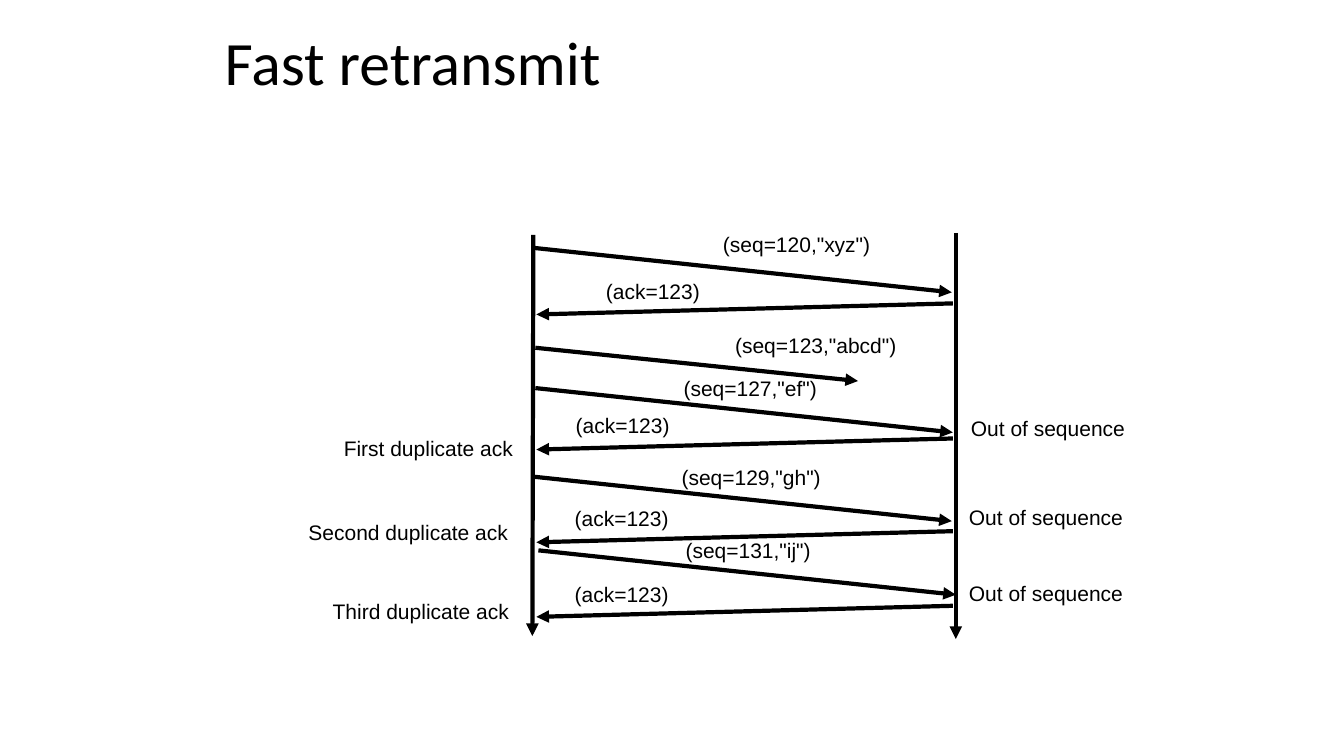
import dataclasses

import lxml.etree
import pptx
import pptx.dml.color
import pptx.enum.shapes
import pptx.enum.text
import pptx.oxml.ns
import pptx.util

EMU_PER_PX = 9144
LABEL_HEIGHT = 22
SEGMENT_RUN, SEGMENT_DROP = 414, 44
ACK_RUN, ACK_DROP = -413, 11

TIMELINES = [(529, 233, -1, 398), (948, 231, 0, 403)]
SEGMENTS = [
    (530, 246, '(seq=120,"xyz")', 717, 233, 148),
    (531, 385, '(seq=127,"ef")', 678, 376, 134),
    (530, 473, '(seq=129,"gh")', 676, 464, 139),
    (534, 546, '(seq=131,"ij")', 680, 537, 126),
]
ACKS = [(301, 601, 280), (435, 571, 413), (527, 570, 505), (601, 570, 580)]
SIDE_NOTES = [
    ("First duplicate ack", 341, 436, 170),
    ("Second duplicate ack", 306, 519, 200),
    ("Third duplicate ack", 330, 597, 177),
    ("Out of sequence", 963, 416, 154),
    ("Out of sequence", 961, 504, 155),
    ("Out of sequence", 961, 579, 155),
]


@dataclasses.dataclass(frozen=True)
class Theme:
    ink: str = "000000"
    background: str = "FFFFFF"
    title_font: str = "Calibri"
    label_font: str = "Arial"
    title_size: int = 44
    label_size: int = 15
    line_width: int = 3
    line_spacing: float = 0.84


def px(length):
    return pptx.util.Emu(length * EMU_PER_PX)


def write_text(frame, text, *, font, size, color, spacing):
    frame.vertical_anchor = pptx.enum.text.MSO_ANCHOR.MIDDLE
    paragraph = frame.paragraphs[0]
    paragraph.line_spacing = spacing
    run = paragraph.add_run()
    run.text = text
    run.font.name = font
    run.font.size = pptx.util.Pt(size)
    run.font.color.rgb = pptx.dml.color.RGBColor.from_string(color)


class SequenceDiagram:
    """Draw titles, labels and arrows on one slide in a shared theme."""

    def __init__(self, slide, theme):
        self.slide = slide
        self.theme = theme
        fill = slide.background.fill
        fill.solid()
        fill.fore_color.rgb = pptx.dml.color.RGBColor.from_string(theme.background)

    def text_box(self, text, left, top, width, height, font, size):
        shape = self.slide.shapes.add_textbox(px(left), px(top), px(width), px(height))
        write_text(shape.text_frame, text, font=font, size=size,
                   color=self.theme.ink, spacing=self.theme.line_spacing)
        return shape.text_frame

    def title(self, text, left, top, width, height):
        frame = self.text_box(text, left, top, width, height,
                              self.theme.title_font, self.theme.title_size)
        frame.word_wrap = True

    def label(self, text, left, top, width):
        frame = self.text_box(text, left, top, width, LABEL_HEIGHT,
                              self.theme.label_font, self.theme.label_size)
        frame.margin_left = frame.margin_right = 0
        frame.margin_top = frame.margin_bottom = 0
        frame.word_wrap = False
        frame.auto_size = pptx.enum.text.MSO_AUTO_SIZE.SHAPE_TO_FIT_TEXT

    def arrow(self, left, top, run, drop):
        connector = self.slide.shapes.add_connector(
            pptx.enum.shapes.MSO_CONNECTOR.STRAIGHT,
            px(left), px(top), px(left + run), px(top + drop))
        connector.line.width = pptx.util.Pt(self.theme.line_width)
        connector.line.color.rgb = pptx.dml.color.RGBColor.from_string(self.theme.ink)
        properties = connector.element.spPr
        outline = properties.find(pptx.oxml.ns.qn("a:ln"))
        lxml.etree.SubElement(outline, pptx.oxml.ns.qn("a:tailEnd"), type="triangle")
        lxml.etree.SubElement(properties, pptx.oxml.ns.qn("a:effectLst"))


def main():
    presentation = pptx.Presentation()
    presentation.slide_width, presentation.slide_height = px(1333), px(750)
    slide = presentation.slides.add_slide(presentation.slide_layouts[6])
    diagram = SequenceDiagram(slide, Theme())

    diagram.title("Fast retransmit", 213, 0, 926, 132)
    for timeline in TIMELINES:
        diagram.arrow(*timeline)
    for left, top, text, *label_place in SEGMENTS:
        diagram.arrow(left, top, SEGMENT_RUN, SEGMENT_DROP)
        diagram.label(text, *label_place)
    diagram.arrow(531, 345, 320, 33)
    diagram.label('(seq=123,"abcd")', 729, 333, 162)
    for top, label_left, label_top in ACKS:
        diagram.arrow(945, top, ACK_RUN, ACK_DROP)
        diagram.label("(ack=123)", label_left, label_top, 94)
    for note in SIDE_NOTES:
        diagram.label(*note)

    presentation.save("out.pptx")


if __name__ == "__main__":
    main()
